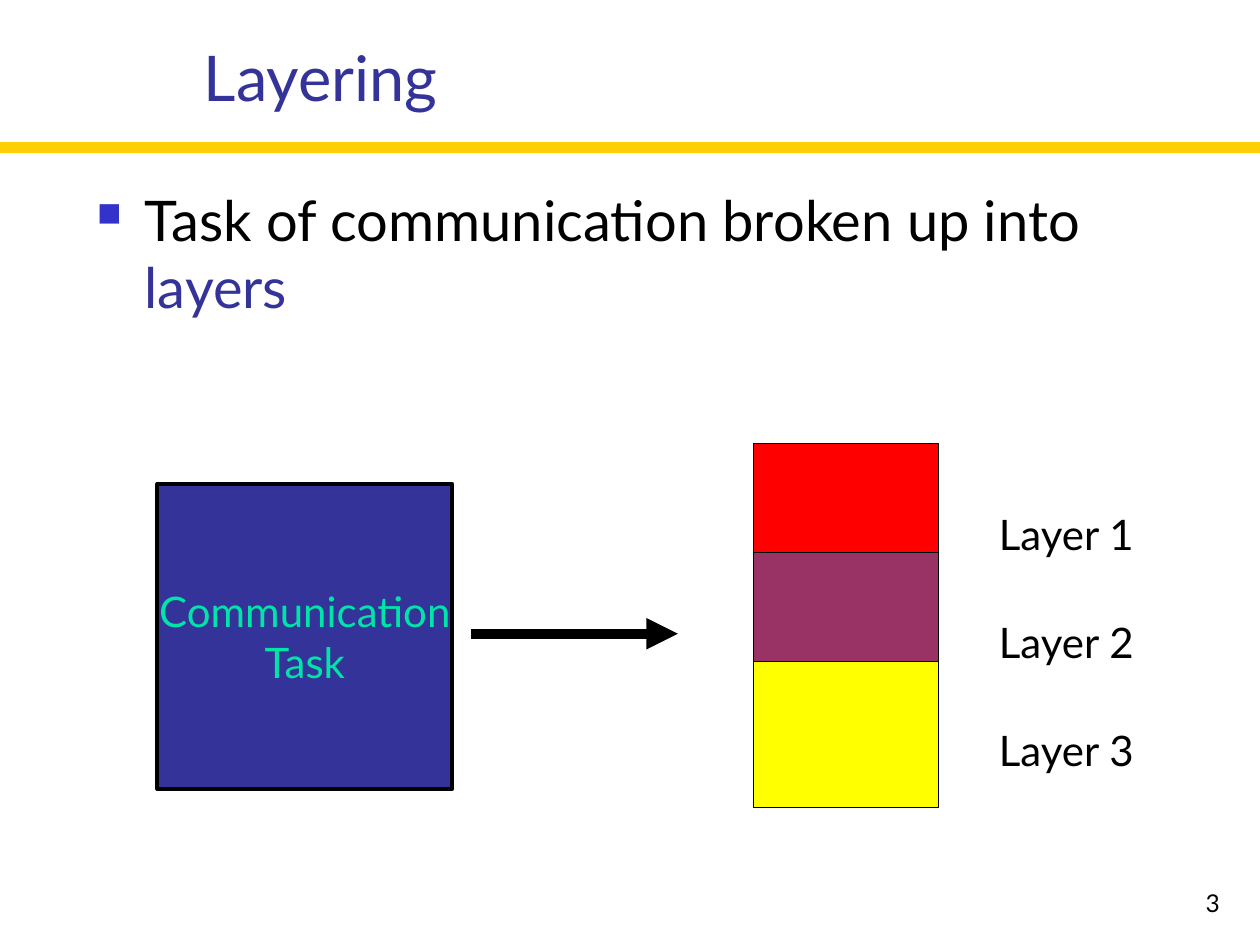
import pptx
import pptx.dml.color
import pptx.enum.shapes
import pptx.enum.text
import pptx.oxml
import pptx.oxml.ns
import pptx.util

CELL = 0.1
FONT = "Lato"
BLACK, INDIGO, GOLD, MINT = "000000", "333399", "FFCF01", "00E4A8"
LAYER_COLORS = ["FF0000", "993366", "FFFF00"]
ALIGN = pptx.enum.text.PP_ALIGN
ANCHOR = pptx.enum.text.MSO_ANCHOR


def cells(*counts):
    """Turn counts of grid cells into lengths."""
    return [pptx.util.Inches(count * CELL) for count in counts]


def color(hex_code):
    """Return the colour for a hex string."""
    return pptx.dml.color.RGBColor.from_string(hex_code)


def add_xml(parent, tag, **attributes):
    """Append a DrawingML element with the given attributes."""
    element = pptx.oxml.parse_xml(f"<a:{tag} {pptx.oxml.ns.nsdecls('a')}/>")
    for name, value in attributes.items():
        element.set(name, value)
    parent.append(element)
    return element


def add_bullet(para, symbol, hex_code, percent, indent):
    """Give a paragraph a coloured bullet and a hanging indent."""
    properties = para._p.get_or_add_pPr()
    length = cells(indent)[0]
    properties.set("marL", str(length))
    properties.set("indent", str(-length))
    add_xml(add_xml(properties, "buClr"), "srgbClr", val=hex_code)
    add_xml(properties, "buSzPct", val=str(percent * 1000))
    add_xml(properties, "buChar", char=symbol)


def write(shape, lines, size=24, align=ALIGN.LEFT, anchor=ANCHOR.TOP, wrap=False, grow=False):
    """Write lines of (text, colour) spans into a shape."""
    frame = shape.text_frame
    frame.word_wrap = wrap
    frame.vertical_anchor = anchor
    if grow:
        frame.auto_size = pptx.enum.text.MSO_AUTO_SIZE.SHAPE_TO_FIT_TEXT
    for index, line in enumerate(lines):
        para = frame.add_paragraph() if index else frame.paragraphs[0]
        para.alignment = align
        for text, hex_code in line:
            span = para.add_run()
            span.text = text
            span.font.name = FONT
            span.font.size = pptx.util.Pt(size)
            span.font.color.rgb = color(hex_code)
    return frame


def add_text(page, place, lines, **style):
    """Add a text box at a place on the grid."""
    return write(page.shapes.add_textbox(*cells(*place)), lines, **style)


def add_box(page, place, fill, width):
    """Add a filled rectangle with a black outline."""
    box = page.shapes.add_shape(pptx.enum.shapes.MSO_SHAPE.RECTANGLE, *cells(*place))
    box.shadow.inherit = False
    box.fill.solid()
    box.fill.fore_color.rgb = color(fill)
    box.line.color.rgb = color(BLACK)
    box.line.width = pptx.util.Pt(width)
    return box


def add_line(page, ends, hex_code, arrow=False):
    """Add a thick straight line, with an arrowhead if asked."""
    line = page.shapes.add_connector(pptx.enum.shapes.MSO_CONNECTOR.STRAIGHT, *cells(*ends))
    line.line.color.rgb = color(hex_code)
    line.line.width = pptx.util.Pt(6)
    if arrow:
        add_xml(line.line._get_or_add_ln(), "tailEnd", type="triangle")
    add_xml(line._element.spPr, "effectLst")


def add_layers(page):
    """Stack the layer boxes and put a label beside each."""
    for index, fill in enumerate(LAYER_COLORS):
        add_box(page, (59.8, 35.2 + 8.65 * index, 14.7, 11.6), fill, 0.75)
        label = [[(f"Layer {index + 1}", BLACK)]]
        add_text(page, (78.3, 39.9 + 8.55 * index, 13.3, 5), label, grow=True)


def main():
    """Build the slide and save it."""
    deck = pptx.Presentation()
    deck.slide_width, deck.slide_height = cells(100, 75)
    page = deck.slides.add_slide(deck.slide_layouts[6])
    add_line(page, (0, 11.7, 100, 11.7), GOLD)
    add_text(page, (15.2, 2.6, 23.6, 7), [[("Layering", INDIGO)]], size=36, grow=True)
    body = add_text(
        page, (6.7, 14.2, 87.5, 22.5),
        [[("Task of communication broken up into ", BLACK), ("layers", INDIGO)]],
        size=32, wrap=True)
    add_bullet(body.paragraphs[0], "■", "3333CC", 60, 3.8)
    task = add_box(page, (12.5, 38.4, 23.4, 24.2), INDIGO, 2.25)
    write(task, [[("Communication", MINT)], [("Task", MINT)]],
          align=ALIGN.CENTER, anchor=ANCHOR.MIDDLE)
    add_line(page, (37.4, 50.3, 53.8, 50.3), BLACK, arrow=True)
    add_layers(page)
    add_text(page, (77, 68.3, 20.8, 5), [[("3", BLACK)]],
             size=14, align=ALIGN.RIGHT, anchor=ANCHOR.BOTTOM, wrap=True)
    deck.save("out.pptx")


if __name__ == "__main__":
    main()
